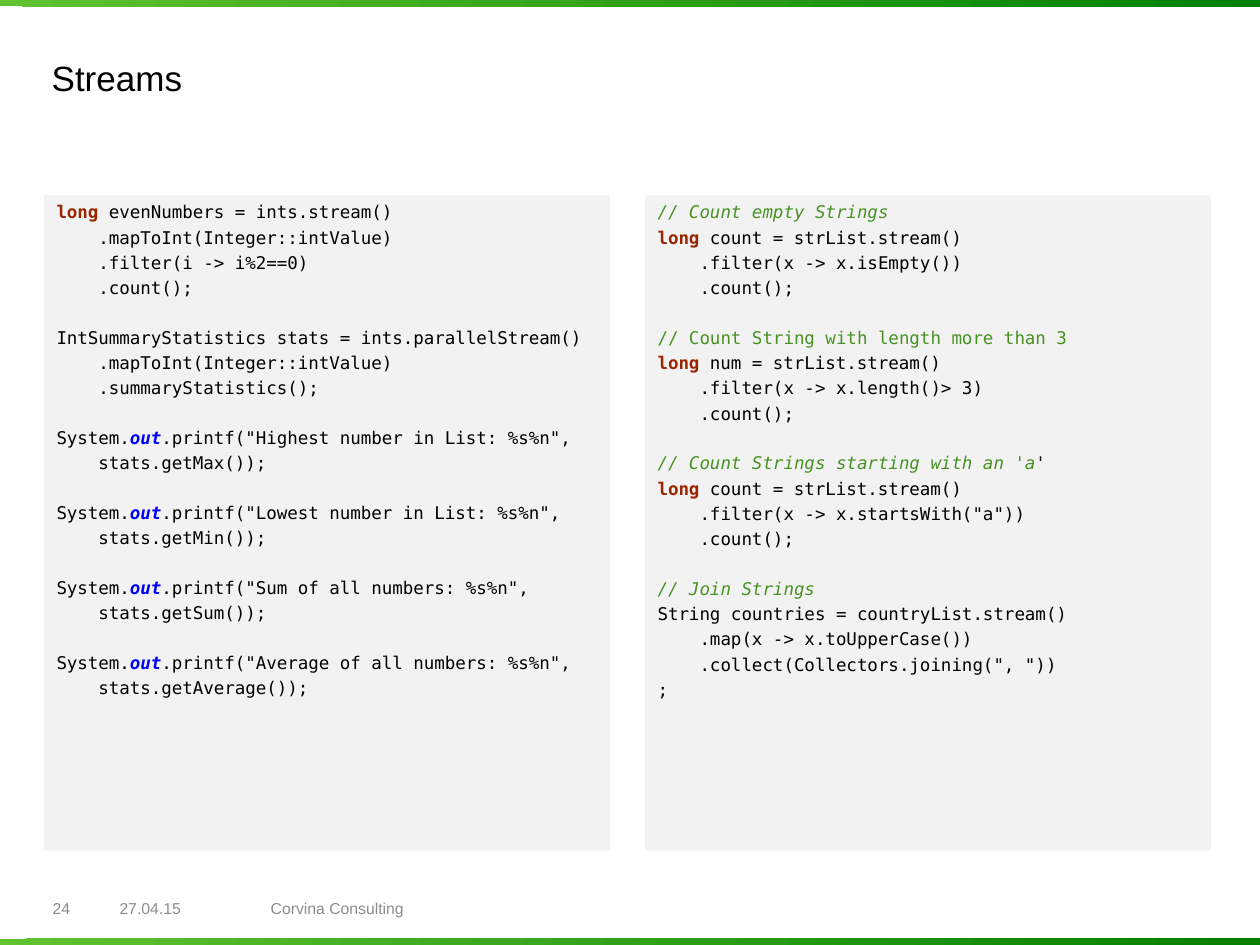
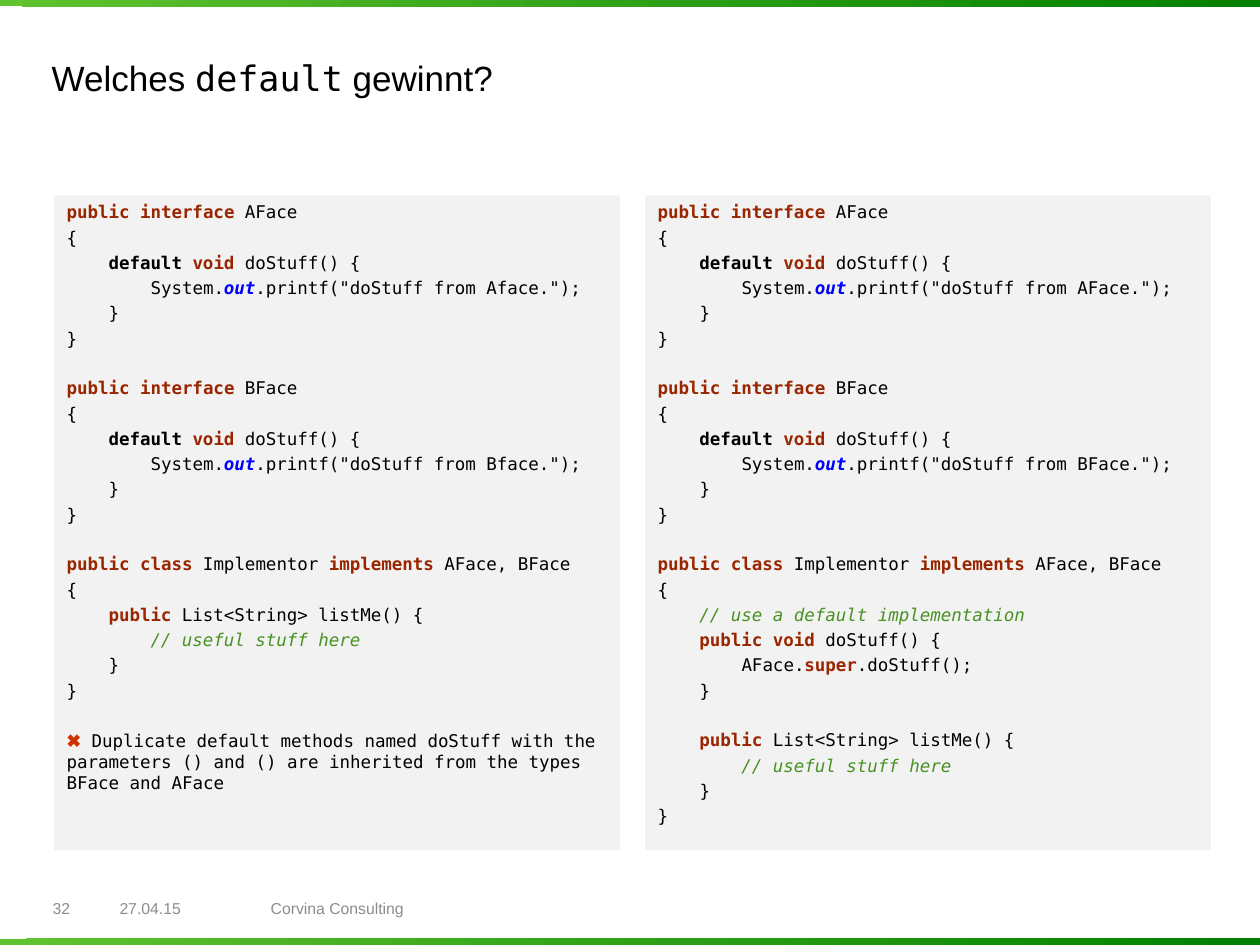
from dataclasses import dataclass, field
from itertools import groupby

from pptx import Presentation
from pptx import util as u
from pptx.dml import color
from pptx.enum import shapes, text


@dataclass(frozen=True)
class Theme:
    sans: str = "Arial"
    mono: str = "DejaVu Sans Mono"
    ink: str = "000000"
    muted: str = "8C8C8C"
    panel: str = "F2F2F2"
    band: tuple = ("60C32F", "008000")
    keyword: str = "992600"
    member: str = "0000FF"
    comment: str = "489223"
    alert: str = "CC3300"
    title_size: float = 20
    footer_size: float = 9
    code_size: float = 10
    alert_size: float = 10.5
    line_gap: float = 2.4
    stanza_gap: float = 16.4
    keywords: frozenset = field(default=frozenset(
        "long public interface class implements void super".split()))


def apply(target, values):
    for name, value in values.items():
        setattr(target, name, value)


class Deck:
    def __init__(self, theme):
        self.theme = theme
        self.presentation = Presentation()
        apply(self.presentation, {"slide_width": u.Inches(10), "slide_height": u.Inches(7.5)})
        self.slide = None

    def new_slide(self, number, title):
        self.slide = self.presentation.slides.add_slide(self.presentation.slide_layouts[5])
        for top in (0, 7.45):
            self.band(top)
        self.title(title)
        for left, width, label in ((0.32, 0.53, number), (0.85, 1.19, "27.04.15"),
                                   (2.05, 4.89, "Corvina Consulting")):
            self.footer(left, width, label)

    def rectangle(self, left, top, width, height):
        rectangle = self.slide.shapes.add_shape(
            shapes.MSO_SHAPE.RECTANGLE, *map(u.Inches, (left, top, width, height)))
        rectangle.shadow.inherit = False
        rectangle.line.fill.background()
        return rectangle

    def band(self, top):
        fill = self.rectangle(0, top, 10, 0.05).fill
        fill.gradient()
        fill.gradient_angle = 328
        for stop, tone in zip(fill.gradient_stops, self.theme.band):
            stop.color.rgb = color.RGBColor.from_string(tone)

    def title(self, pieces):
        heading = self.slide.shapes.title
        apply(heading, {"left": u.Inches(0.31), "top": u.Inches(0.4),
                        "width": u.Inches(8.62), "height": u.Inches(0.87)})
        apply(heading.text_frame, {"vertical_anchor": text.MSO_ANCHOR.TOP, "word_wrap": True,
                                   "auto_size": text.MSO_AUTO_SIZE.NONE})
        self.add_runs(heading.text_frame.paragraphs[0], pieces,
                      {"name": self.theme.sans, "size": self.theme.title_size})

    def footer(self, left, width, label):
        frame = self.slide.shapes.add_textbox(
            *map(u.Inches, (left, 7.07, width, 0.28))).text_frame
        apply(frame, {"word_wrap": True, "vertical_anchor": text.MSO_ANCHOR.MIDDLE})
        self.add_runs(frame.paragraphs[0], [(label, {})],
                      {"name": self.theme.sans, "size": self.theme.footer_size,
                       "color": self.theme.muted})

    def add_runs(self, paragraph, pieces, base):
        paragraph.alignment = text.PP_ALIGN.LEFT
        for words, changes in pieces:
            style = {"color": self.theme.ink, "bold": False, "italic": False, **base, **changes}
            run = paragraph.add_run()
            run.text = words
            run.font.color.rgb = color.RGBColor.from_string(style.pop("color"))
            style["size"] = u.Pt(style["size"])
            apply(run.font, style)

    def token_style(self, token):
        if token in self.theme.keywords:
            return {"color": self.theme.keyword, "bold": True}
        return {"default": {"bold": True},
                "out": {"color": self.theme.member, "bold": True, "italic": True}}.get(token, {})

    def highlight(self, line, upright):
        code, slashes, remark = line.partition("//")
        tokens = ["".join(letters) for _, letters in groupby(code, str.isalnum)]
        pieces = [("".join(group), style) for style, group in groupby(tokens, self.token_style)]
        if slashes:
            body = remark.removesuffix("'")
            pieces.append((slashes + body,
                           {"color": self.theme.comment, "italic": line not in upright}))
            if body != remark:
                pieces.append(("'", {}))
        return pieces

    def code_panel(self, left, source, upright=(), error=None):
        panel = self.rectangle(left, 1.55, 4.49, 5.2)
        panel.fill.solid()
        panel.fill.fore_color.rgb = color.RGBColor.from_string(self.theme.panel)
        frame = panel.text_frame
        apply(frame, {"word_wrap": True, "vertical_anchor": text.MSO_ANCHOR.TOP})
        stanzas = [[self.highlight(line, upright) for line in stanza.split("\n")]
                   for stanza in source.strip().split("\n\n")]
        if error:
            stanzas.append([[("✖", {"name": self.theme.sans, "size": self.theme.alert_size,
                                    "color": self.theme.alert}), (" " + error, {})]])
        paragraph = frame.paragraphs[0]
        for stanza_index, stanza in enumerate(stanzas):
            for line_index, pieces in enumerate(stanza):
                if stanza_index or line_index:
                    paragraph = frame.add_paragraph()
                    gap = self.theme.line_gap if line_index else self.theme.stanza_gap
                    paragraph.space_before = u.Pt(gap)
                self.add_runs(paragraph, pieces,
                              {"name": self.theme.mono, "size": self.theme.code_size})


STATISTICS = """
long evenNumbers = ints.stream()
    .mapToInt(Integer::intValue)
    .filter(i -> i%2==0)
    .count();

IntSummaryStatistics stats = ints.parallelStream()
    .mapToInt(Integer::intValue)
    .summaryStatistics();

""" + "\n\n".join(
    f'System.out.printf("{caption}: %s%n",\n    stats.{getter}());'
    for caption, getter in (("Highest number in List", "getMax"),
                            ("Lowest number in List", "getMin"),
                            ("Sum of all numbers", "getSum"),
                            ("Average of all numbers", "getAverage")))

LENGTH_REMARK = "// Count String with length more than 3"

STRING_STREAMS = f"""
// Count empty Strings
long count = strList.stream()
    .filter(x -> x.isEmpty())
    .count();

{LENGTH_REMARK}
long num = strList.stream()
    .filter(x -> x.length()> 3)
    .count();

// Count Strings starting with an 'a'
long count = strList.stream()
    .filter(x -> x.startsWith("a"))
    .count();

// Join Strings
String countries = countryList.stream()
    .map(x -> x.toUpperCase())
    .collect(Collectors.joining(", "))
;
"""

DEFAULT_CALL = """    // use a default implementation
    public void doStuff() {
        AFace.super.doStuff();
    }

"""


def interface(name, origin):
    return f"""public interface {name}
{{
    default void doStuff() {{
        System.out.printf("doStuff from {origin}.");
    }}
}}

"""


def implementor(override=""):
    return f"""public class Implementor implements AFace, BFace
{{
{override}    public List<String> listMe() {{
        // useful stuff here
    }}
}}"""


def main():
    theme = Theme()
    deck = Deck(theme)

    deck.new_slide("24", [("Streams", {})])
    deck.code_panel(0.35, STATISTICS)
    deck.code_panel(5.12, STRING_STREAMS, upright=(LENGTH_REMARK,))

    deck.new_slide("32", [("Welches ", {}), ("default", {"name": theme.mono}),
                          (" gewinnt?", {})])
    deck.code_panel(
        0.43, interface("AFace", "Aface") + interface("BFace", "Bface") + implementor(),
        error="Duplicate default methods named doStuff with the parameters () and () "
              "are inherited from the types BFace and AFace")
    deck.code_panel(5.12, interface("AFace", "AFace") + interface("BFace", "BFace")
                    + implementor(DEFAULT_CALL))

    deck.presentation.save("out.pptx")


if __name__ == "__main__":
    main()
